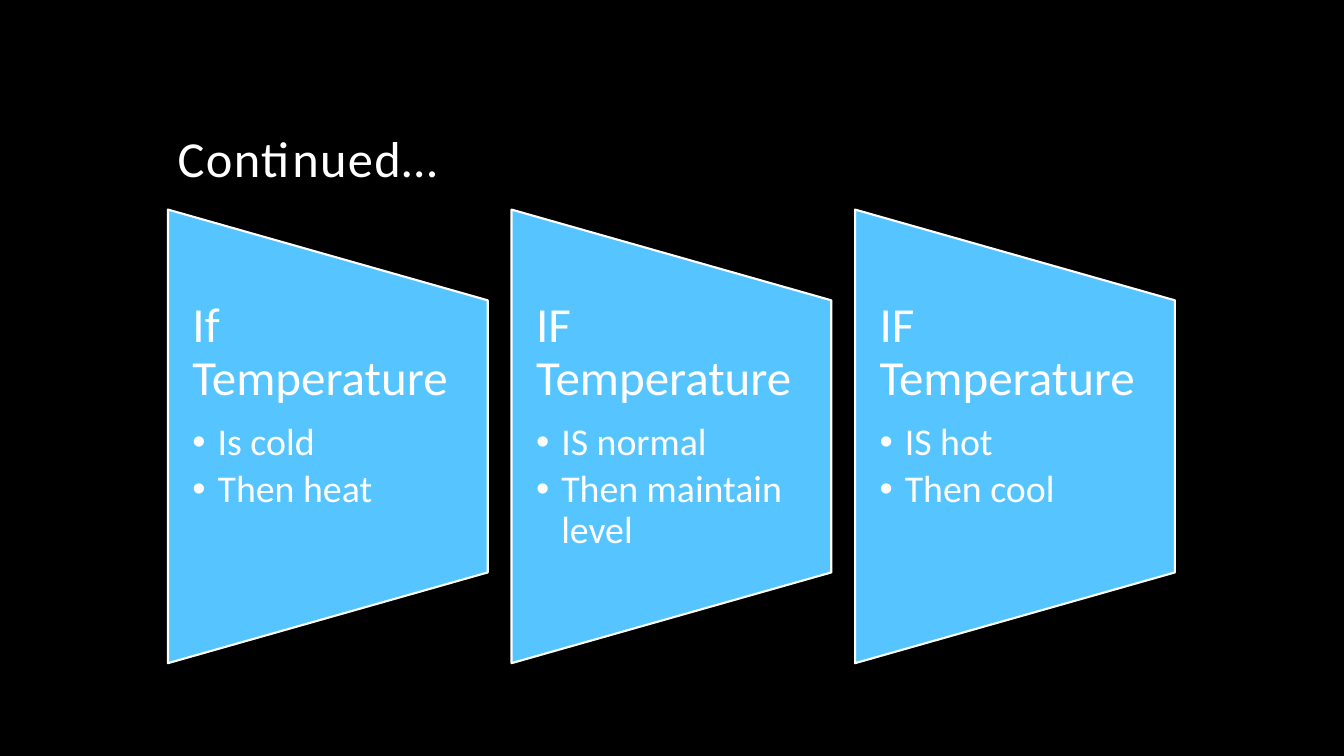
from pptx import Presentation
from pptx.dml.color import RGBColor
from pptx.enum.shapes import MSO_SHAPE
from pptx.enum.text import MSO_ANCHOR, PP_ALIGN
from pptx.oxml.ns import qn
from pptx.util import Pt
from lxml.etree import SubElement

# Content
TITLE = "Continued…"
RULES = [
    ("If Temperature", ["Is cold", "Then heat"]),
    ("IF Temperature", ["IS normal", "Then maintain level"]),
    ("IF Temperature", ["IS hot", "Then cool"]),
]

# Layout in points
FONT, WHITE, BLUE, BLACK = "Calibri", "FFFFFF", "56C5FF", "000000"
LEFT, TOP, PITCH = 120, 151.5 + 57, 245.4
WIDE, TALL = 228.4, 324
BODY_TOP, BODY_TALL = 214.5, 194.4
INSET, INDENT = 17.5, 18


def color(code):
    return RGBColor.from_string(code)


def set_frame(frame, inset):
    frame.word_wrap = True
    frame.margin_left = frame.margin_right = Pt(inset)
    frame.margin_top = frame.margin_bottom = 0


def add_text(para, text, size, after=0):
    para.alignment = PP_ALIGN.LEFT
    para.line_spacing = 0.9
    para.space_before = Pt(0)
    para.space_after = Pt(after)
    run = para.add_run()
    run.text = text
    run.font.name = FONT
    run.font.size = Pt(size)
    run.font.color.rgb = color(WHITE)
    return run


def add_bullet(para):
    props = para._p.get_or_add_pPr()
    props.set("marL", str(Pt(INDENT)))
    props.set("indent", str(Pt(-INDENT)))
    SubElement(props, qn("a:buFont")).set("typeface", "Arial")
    SubElement(props, qn("a:buChar")).set("char", "•")


def add_panel(slide, left):
    # The shape is turned a quarter, so its sides swap about its center
    panel = slide.shapes.add_shape(
        MSO_SHAPE.FLOWCHART_MANUAL_OPERATION,
        Pt(left + (WIDE - TALL) / 2), Pt(MIDDLE - WIDE / 2),
        Pt(TALL), Pt(WIDE))
    panel.rotation = 270
    panel.shadow.inherit = False
    panel.fill.solid()
    panel.fill.fore_color.rgb = color(BLUE)
    panel.line.color.rgb = color(WHITE)
    panel.line.width = Pt(1.5)


def add_rule(slide, left, head, steps):
    box = slide.shapes.add_textbox(
        Pt(left), Pt(BODY_TOP), Pt(WIDE), Pt(BODY_TALL))
    frame = box.text_frame
    set_frame(frame, INSET)
    add_text(frame.paragraphs[0], head, 35, 12.25)
    for step in steps:
        para = frame.add_paragraph()
        para.level = 1
        add_text(para, step, 27, 4)
        add_bullet(para)


MIDDLE = BODY_TOP + BODY_TALL / 2

# Slide and background
deck = Presentation()
deck.slide_width, deck.slide_height = Pt(960), Pt(540)
slide = deck.slides.add_slide(deck.slide_layouts[5])
slide.background.fill.solid()
slide.background.fill.fore_color.rgb = color(BLACK)

# Title
title = slide.shapes.title
title.left, title.top = Pt(119.7), Pt(30)
title.width, title.height = Pt(720), Pt(108)
set_frame(title.text_frame, 7.2)
title.text_frame.margin_bottom = Pt(3.6)
title.text_frame.vertical_anchor = MSO_ANCHOR.BOTTOM
run = add_text(title.text_frame.paragraphs[0], TITLE, 36)
run.font._element.set("spc", "100")

# Panels with their rules
for i, (head, steps) in enumerate(RULES):
    left = LEFT + i * PITCH
    add_panel(slide, left)
    add_rule(slide, left, head, steps)

deck.save("out.pptx")
